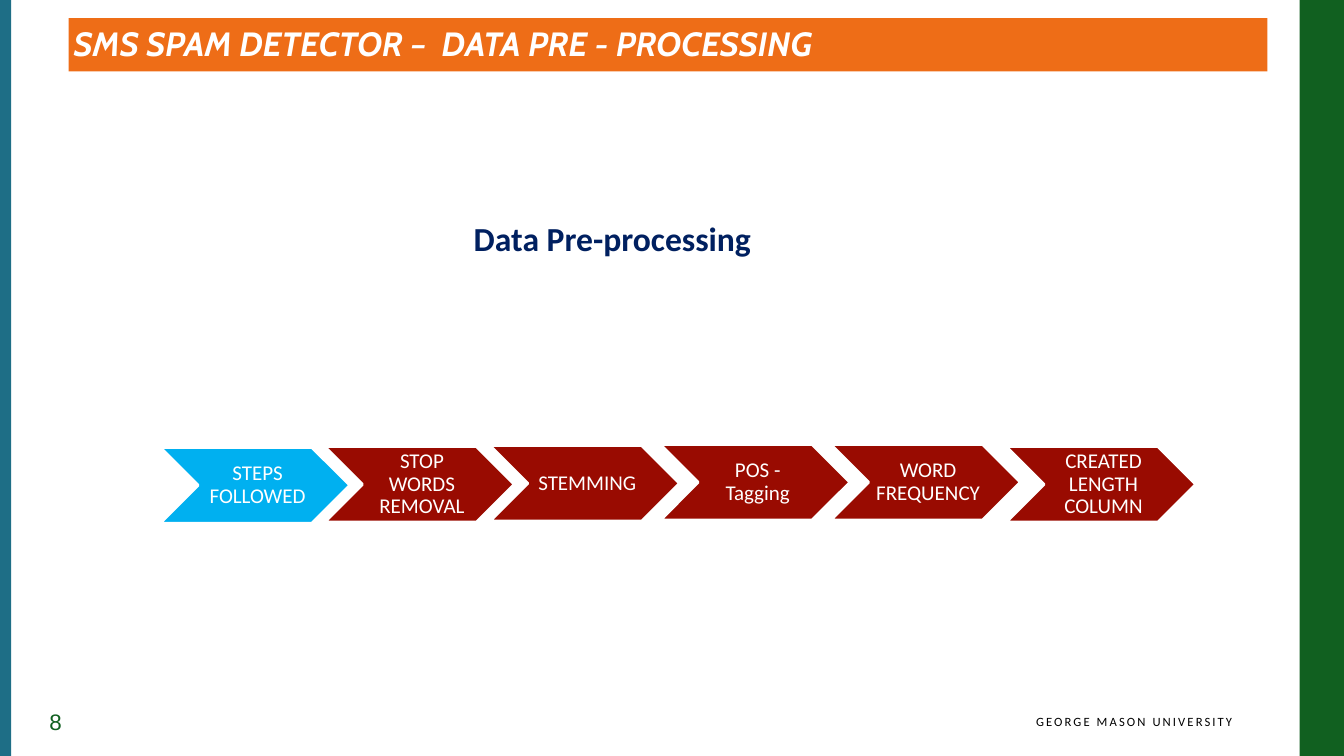
from pptx import Presentation
from pptx.dml.color import RGBColor
from pptx.enum.shapes import MSO_SHAPE
from pptx.enum.text import MSO_ANCHOR, PP_ALIGN
from pptx.util import Inches, Pt

RECTANGLE, CHEVRON = MSO_SHAPE.RECTANGLE, MSO_SHAPE.CHEVRON
LEFT, CENTER, RIGHT = PP_ALIGN.LEFT, PP_ALIGN.CENTER, PP_ALIGN.RIGHT
TOP, MIDDLE = MSO_ANCHOR.TOP, MSO_ANCHOR.MIDDLE

WIDTH, HEIGHT = 13.33, 7.5
COLORS = {
    "green": "116020", "teal": "1E6E86", "orange": "EE6D17",
    "navy": "002060", "blue": "00B0F0", "red": "990B01",
    "white": "FFFFFF", "black": "000000",
}
FORMATS = {
    "title": {"name": "Cabin", "size": Pt(24), "bold": True, "italic": True},
    "heading": {"name": "Calibri", "size": Pt(24), "bold": True},
    "step": {"name": "Calibri", "size": Pt(15)},
    "number": {"name": "Arial", "size": Pt(16)},
    "footer": {"name": "Calibri", "size": Pt(9)},
}
# Left, top and label of each step in the chain
STEPS = [
    (1.59, 4.44, "STEPS FOLLOWED"),
    (3.22, 4.43, "STOP WORDS REMOVAL"),
    (4.86, 4.42, "STEMMING"),
    (6.55, 4.41, "POS - Tagging"),
    (8.24, 4.41, "WORD FREQUENCY"),
    (9.98, 4.43, "CREATED LENGTH COLUMN"),
]
STEP_SIZE = (1.88, 0.75)


def rgb(color):
    return RGBColor.from_string(COLORS[color])


def add_filled_shape(slide, kind, box, color):
    shape = slide.shapes.add_shape(kind, *map(Inches, box))
    shape.shadow.inherit = False
    shape.fill.solid()
    shape.fill.fore_color.rgb = rgb(color)
    shape.line.fill.background()
    return shape


def write_text(shape, text, style, color, align=LEFT, anchor=TOP,
               insets=(0.1, 0.05, 0.1, 0.05), wrap=True):
    frame = shape.text_frame
    frame.word_wrap = wrap
    frame.vertical_anchor = anchor
    for side, inset in zip(("left", "top", "right", "bottom"), insets):
        setattr(frame, f"margin_{side}", Inches(inset))
    paragraph = frame.paragraphs[0]
    paragraph.alignment = align
    run = paragraph.add_run()
    run.text = text
    for attribute, value in FORMATS[style].items():
        setattr(run.font, attribute, value)
    run.font.color.rgb = rgb(color)
    return run


def add_text(slide, box, *text_args, **text_options):
    shape = slide.shapes.add_textbox(*map(Inches, box))
    return write_text(shape, *text_args, **text_options)


def add_side_bands(slide, left_width, right_width):
    add_filled_shape(slide, RECTANGLE,
                     (WIDTH - right_width, 0, right_width, HEIGHT), "green")
    add_filled_shape(slide, RECTANGLE, (0, 0, left_width, HEIGHT), "teal")


def add_footer(slide, left, top, width):
    run = add_text(slide, (left + 6.34, top + 0.1, width - 6.34, 0.15),
                   "GEORGE MASON UNIVERSITY", "footer", "black",
                   align=RIGHT, insets=(0,) * 4)
    run._r.get_or_add_rPr().set("spc", "150")  # letter spacing
    add_text(slide, (left, top, 0.24, 0.34), "8", "number", "green",
             insets=(0.05,) * 4, wrap=False)


def add_title_bar(slide, box):
    bar = add_filled_shape(slide, RECTANGLE, box, "orange")
    write_text(bar, "SMS SPAM DETECTOR –  DATA PRE - PROCESSING", "title",
               "white", insets=(0.05,) * 4)


def add_step(slide, left, top, label, color):
    chevron = add_filled_shape(slide, CHEVRON, (left, top, *STEP_SIZE), color)
    chevron.line.color.rgb = rgb("white")
    chevron.line.width = Pt(2)
    write_text(chevron, label, "step", "white", align=CENTER, anchor=MIDDLE,
               insets=(0.07, 0.02, 0.02, 0.02))
    chevron.text_frame.paragraphs[0].line_spacing = 0.9


def main():
    presentation = Presentation()
    presentation.slide_width = Inches(WIDTH)
    presentation.slide_height = Inches(HEIGHT)
    slide = presentation.slides.add_slide(presentation.slide_layouts[6])

    # Frame of the slide
    add_side_bands(slide, 0.11, 0.44)
    add_footer(slide, 0.44, 6.98, 11.78)

    # Title and heading
    add_title_bar(slide, (0.68, 0.18, 11.89, 0.53))
    add_text(slide, (4.6, 2.11, 3.14, 0.5), "Data Pre-processing",
             "heading", "navy")

    # Chain of steps, led by a blue one
    for index, (left, top, label) in enumerate(STEPS):
        add_step(slide, left, top, label, "red" if index else "blue")

    presentation.save("out.pptx")


if __name__ == "__main__":
    main()
